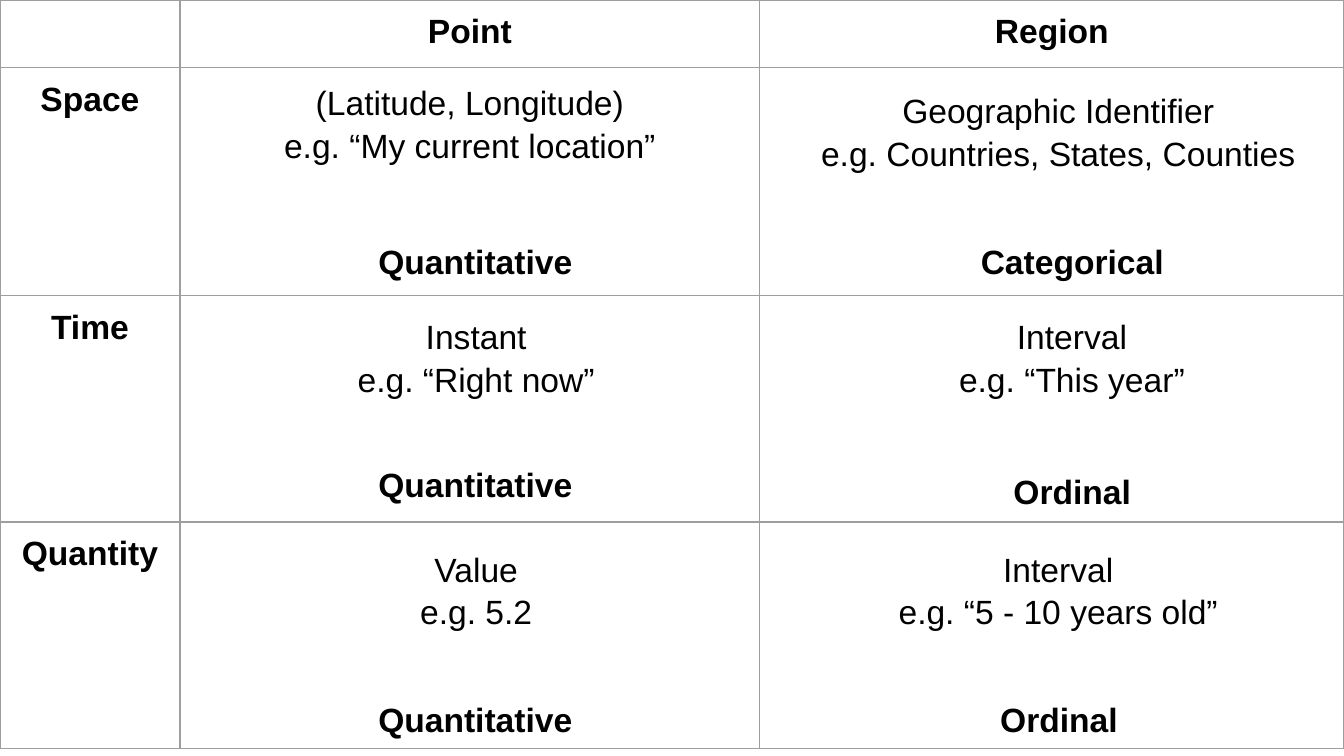
import pptx
import pptx.dml.color
import pptx.enum.text
import pptx.oxml
import pptx.oxml.ns
import pptx.util
from pptx.util import Cm


def color(value):
    return pptx.dml.color.RGBColor.from_string(value)


class SlideBuilder:
    font_name = "Arial"
    font_size = pptx.util.Pt(18)
    text_color = "000000"
    border_color = "9E9E9E"
    border_width = pptx.util.Pt(0.75)
    inset = Cm(0.25)
    line_spacing = 1.05

    def __init__(self, slide):
        self.slide = slide

    def add_run(self, paragraph, text, bold):
        run = paragraph.add_run()
        run.text = text
        run.font.name = self.font_name
        run.font.size = self.font_size
        run.font.bold = bold
        run.font.color.rgb = color(self.text_color)

    def fill_paragraph(self, paragraph, text, bold):
        paragraph.alignment = pptx.enum.text.PP_ALIGN.CENTER
        for index, line in enumerate(text.split("\n")):
            if index:
                paragraph.add_line_break()
            self.add_run(paragraph, line, bold)

    def add_text(self, left, top, width, height, texts, bold=False):
        shape = self.slide.shapes.add_textbox(Cm(left), Cm(top), Cm(width), Cm(height))
        frame = shape.text_frame
        frame.word_wrap = True
        frame.auto_size = pptx.enum.text.MSO_AUTO_SIZE.SHAPE_TO_FIT_TEXT
        frame.margin_left = frame.margin_right = self.inset
        frame.margin_top = frame.margin_bottom = self.inset
        for index, text in enumerate(texts):
            paragraph = frame.add_paragraph() if index else frame.paragraphs[0]
            paragraph.line_spacing = self.line_spacing
            self.fill_paragraph(paragraph, text, bold)

    def add_borders(self, cell):
        properties = cell._tc.get_or_add_tcPr()
        for position, side in enumerate(("lnL", "lnR", "lnT", "lnB")):
            line = pptx.oxml.parse_xml(
                f'<a:{side} {pptx.oxml.ns.nsdecls("a")} w="{self.border_width}">'
                f'<a:solidFill><a:srgbClr val="{self.border_color}"/></a:solidFill>'
                f"</a:{side}>"
            )
            properties.insert(position, line)

    def add_table(self, columns, rows, headings):
        shape = self.slide.shapes.add_table(
            len(rows), len(columns), 0, 0, Cm(sum(columns)), Cm(sum(rows))
        )
        table = shape.table
        table.first_row = table.horz_banding = False
        for column, width in zip(table.columns, columns):
            column.width = Cm(width)
        for row, height in zip(table.rows, rows):
            row.height = Cm(height)
        for cell in table.iter_cells():
            cell.fill.background()
            cell.margin_left = cell.margin_right = self.inset
            cell.margin_top = cell.margin_bottom = self.inset
            self.add_borders(cell)
        for (row, column), text in headings.items():
            paragraph = table.cell(row, column).text_frame.paragraphs[0]
            self.fill_paragraph(paragraph, text, True)


def main():
    presentation = pptx.Presentation()
    presentation.slide_width = Cm(25.4)
    presentation.slide_height = Cm(14.29)
    builder = SlideBuilder(presentation.slides.add_slide(presentation.slide_layouts[6]))

    builder.add_table(
        columns=(3.4, 10.96, 11.04),
        rows=(1.21, 4.31, 4.28, 4.28),
        headings={
            (0, 1): "Point",
            (0, 2): "Region",
            (1, 0): "Space",
            (2, 0): "Time",
            (3, 0): "Quantity",
        },
    )

    descriptions = (
        (3.61, 1.27, 1.98, ("(Latitude, Longitude)", "e.g. “My current location”")),
        (14.73, 1.42, 1.98, ("Geographic Identifier\ne.g. Countries, States, Counties",)),
        (3.73, 5.69, 1.98, ("Instant", "e.g. “Right now”")),
        (14.99, 5.69, 1.98, ("Interval", "e.g. “This year”")),
        (3.73, 10.08, 1.98, ("Value\ne.g. 5.2",)),
        (14.73, 10.08, 2.72, ("Interval", "e.g. “5 - 10 years old”")),
    )
    for left, top, height, texts in descriptions:
        builder.add_text(left, top, 10.54, height, texts)

    data_types = (
        (5.05, 4.27, "Quantitative"),
        (16.33, 4.27, "Categorical"),
        (5.05, 8.48, "Quantitative"),
        (16.33, 8.61, "Ordinal"),
        (5.05, 12.93, "Quantitative"),
        (16.08, 12.93, "Ordinal"),
    )
    for left, top, text in data_types:
        builder.add_text(left, top, 7.87, 1.22, (text,), bold=True)

    presentation.save("out.pptx")


if __name__ == "__main__":
    main()
